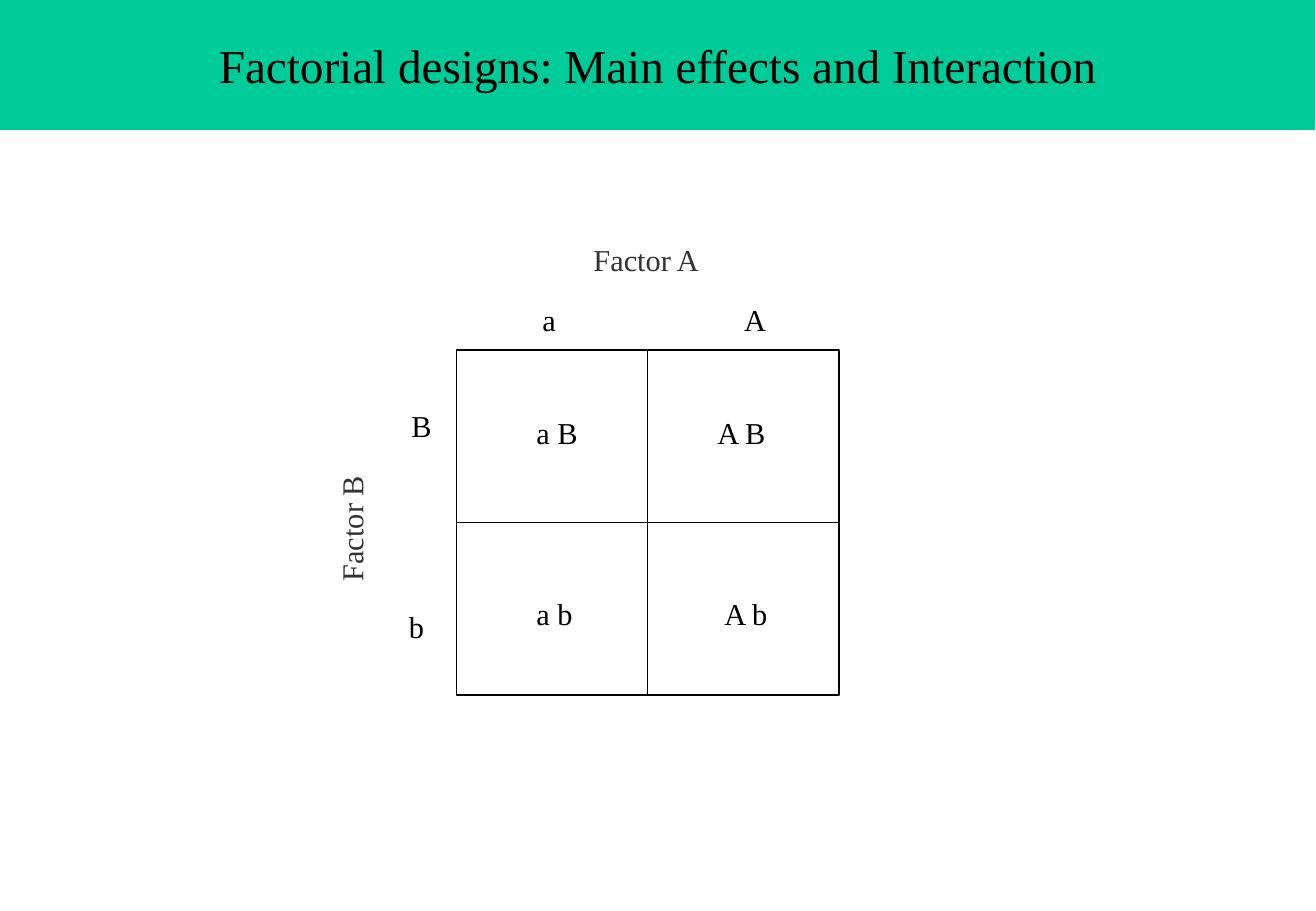
"""Build a slide with a two-by-two factorial design grid."""
from lxml.etree import SubElement
from pptx import Presentation
from pptx.dml.color import RGBColor
from pptx.enum.shapes import MSO_CONNECTOR, MSO_SHAPE
from pptx.enum.text import MSO_ANCHOR, MSO_AUTO_SIZE, PP_ALIGN
from pptx.oxml.ns import qn
from pptx.util import Pt

TITLE = "Factorial designs: Main effects and Interaction"
LABELS = [
    ("Factor A", 344.9, 139.7, 77.8, "muted", 0),
    ("Factor B", 169.9, 298.8, 77, "muted", 270),
    ("B", 236.9, 237.6, 25.9, "ink", 0),
    ("b", 235.4, 357.1, 23, "ink", 0),
    ("a", 314.6, 175, 22.3, "ink", 0),
    ("A", 434.2, 175, 27.4, "ink", 0),
    ("a B", 311, 241.9, 38.9, "ink", 0),
    ("A B", 418.3, 241.9, 43.9, "ink", 0),
    ("a b", 311, 349.2, 36, "ink", 0),
    ("A b", 422.6, 349.2, 41, "ink", 0),
]
SLIDE = (780.48, 540)
BANNER = (0, 0, 780, 77)
GRID = (270.7, 207.4, 226.8, 204.5)
LABEL_H = 28.8
DIVIDERS = [(1, 3), (0, 2)]
THEME = {
    "font": "Times New Roman",
    "title": 28,
    "label": 18,
    "line": 1,
    "ink": RGBColor(0, 0, 0),
    "muted": RGBColor(0x33, 0x33, 0x33),
    "paper": RGBColor(0xFF, 0xFF, 0xFF),
    "banner": RGBColor(0, 0xCC, 0x99),
}


def set_format(obj, values):
    for name, value in values.items():
        setattr(obj, name, value)


def write(sp, text, size, color, frame, align):
    tf = sp.text_frame
    set_format(tf, frame)
    p = tf.paragraphs[0]
    p.alignment = align
    r = p.add_run()
    r.text = text
    set_format(r.font, {"name": THEME["font"], "size": Pt(THEME[size])})
    r.font.color.rgb = THEME[color]


def add_rect(shapes, box, fill):
    sp = shapes.add_shape(MSO_SHAPE.RECTANGLE, *map(Pt, box))
    sp.shadow.inherit = False
    sp.fill.solid()
    sp.fill.fore_color.rgb = THEME[fill]
    return sp


def set_line(sp):
    sp.line.color.rgb = THEME["ink"]
    sp.line.width = Pt(THEME["line"])


def add_grid(shapes):
    grid = add_rect(shapes, GRID, "paper")
    set_line(grid)
    for begin, end in DIVIDERS:
        line = shapes.add_connector(MSO_CONNECTOR.STRAIGHT, 0, 0, 0, 0)
        line.begin_connect(grid, begin)
        line.end_connect(grid, end)
        set_line(line)
        SubElement(line._element.spPr, qn("a:effectLst"))


def add_label(shapes, text, x, y, w, color, rotation):
    sp = shapes.add_textbox(*map(Pt, (x, y, w, LABEL_H)))
    sp.rotation = rotation
    frame = {"word_wrap": False, "auto_size": MSO_AUTO_SIZE.SHAPE_TO_FIT_TEXT}
    write(sp, text, "label", color, frame, PP_ALIGN.LEFT)


def main():
    prs = Presentation()
    prs.slide_width, prs.slide_height = map(Pt, SLIDE)
    s = prs.slides.add_slide(prs.slide_layouts[6])
    banner = add_rect(s.shapes, BANNER, "banner")
    banner.line.fill.background()
    frame = {"word_wrap": True, "vertical_anchor": MSO_ANCHOR.MIDDLE}
    write(banner, TITLE, "title", "ink", frame, PP_ALIGN.CENTER)
    design = s.shapes.add_group_shape()
    add_grid(design.shapes)
    for label in LABELS:
        add_label(design.shapes, *label)
    prs.save("out.pptx")


if __name__ == "__main__":
    main()
